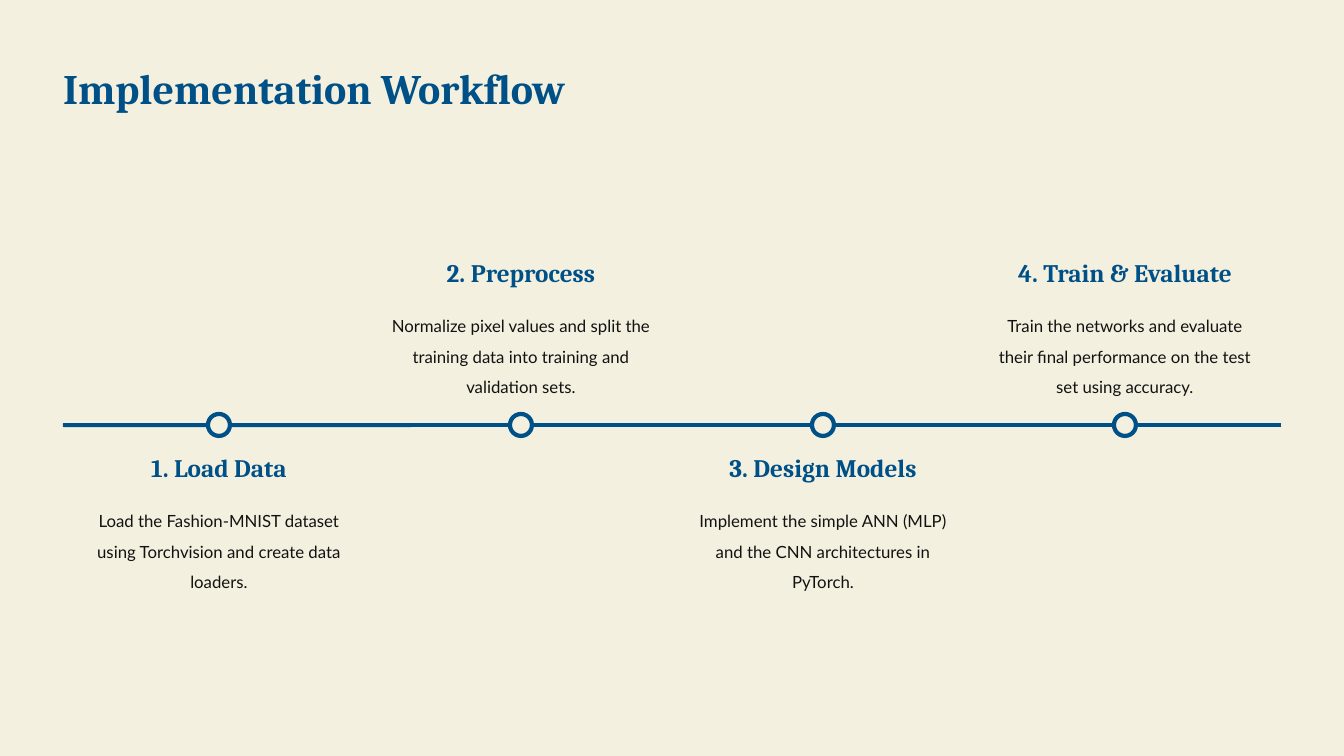
import pptx
import pptx.dml.color
import pptx.enum.shapes
import pptx.enum.text
import pptx.util

PX = 914400 / 100.8
BLUE, CREAM, INK = "005088", "F3F0DF", "121212"
ALIGN = pptx.enum.text.PP_ALIGN
ROUNDED = pptx.enum.shapes.MSO_SHAPE.ROUNDED_RECTANGLE


def emu(*lengths):
    """Turn px lengths into whole EMU."""
    return [pptx.util.Emu(round(length * PX)) for length in lengths]


def rgb(value):
    return pptx.dml.color.RGBColor.from_string(value)


prs = pptx.Presentation()
prs.slide_width, prs.slide_height = emu(1344, 756)
slide = prs.slides.add_slide(prs.slide_layouts[6])
slide.background.fill.solid()
slide.background.fill.fore_color.rgb = rgb(CREAM)

STEPS = [
    ("1. Load Data",
     "Load the Fashion-MNIST dataset using Torchvision and create data loaders."),
    ("2. Preprocess",
     "Normalize pixel values and split the training data into training and validation sets."),
    ("3. Design Models",
     "Implement the simple ANN (MLP) and the CNN architectures in PyTorch."),
    ("4. Train & Evaluate",
     "Train the networks and evaluate their final performance on the test set using accuracy."),
]
FIRST_CENTER, STEP_PITCH = 219, 302
HEADING_WIDTH, BODY_WIDTH, MARKER = 284, 270, 22
AXIS_TOP, AXIS_HEIGHT = 423, 4
marker_top = AXIS_TOP + AXIS_HEIGHT // 2 - MARKER // 2

# Timeline axis, then the ring of each step
bars = [(63, AXIS_TOP, 1218, AXIS_HEIGHT, 0.17, BLUE)]
# Title, then the heading and body of each step
texts = [("Implementation Workflow", 63, 63, 1279, 52, 30, "Cambria", BLUE, ALIGN.LEFT, 1.0)]
for index, (heading, body) in enumerate(STEPS):
    center = FIRST_CENTER + index * STEP_PITCH
    top = 257 if index % 2 else 452
    bars.append((center - MARKER // 2, marker_top, MARKER, MARKER, 0.5, CREAM))
    texts.append((heading, center - HEADING_WIDTH // 2, top, HEADING_WIDTH, 32,
                  18, "Cambria", BLUE, ALIGN.CENTER, 1.0))
    texts.append((body, center - BODY_WIDTH // 2, top + 49, BODY_WIDTH, 76,
                  12, "Lato", INK, ALIGN.CENTER, 1.5))

for left, top, width, height, rounding, color in bars:
    bar = slide.shapes.add_shape(ROUNDED, *emu(left, top, width, height))
    bar.shadow.inherit = False
    bar.adjustments[0] = rounding
    bar.fill.solid()
    bar.fill.fore_color.rgb = rgb(color)
    if color == CREAM:
        bar.line.color.rgb = rgb(BLUE)
        bar.line.width = pptx.util.Pt(3)
    else:
        bar.line.fill.background()

for words, left, top, width, height, size, face, color, align, spacing in texts:
    frame = slide.shapes.add_textbox(*emu(left, top, width, height)).text_frame
    frame.word_wrap = True
    frame.auto_size = pptx.enum.text.MSO_AUTO_SIZE.SHAPE_TO_FIT_TEXT
    frame.margin_left = frame.margin_right = frame.margin_top = frame.margin_bottom = 0
    frame.text = words
    paragraph = frame.paragraphs[0]
    paragraph.alignment = align
    paragraph.line_spacing = spacing
    font = paragraph.runs[0].font
    font.name = face
    font.size = pptx.util.Pt(size)
    font.bold = face == "Cambria"
    font.color.rgb = rgb(color)

prs.save("out.pptx")
